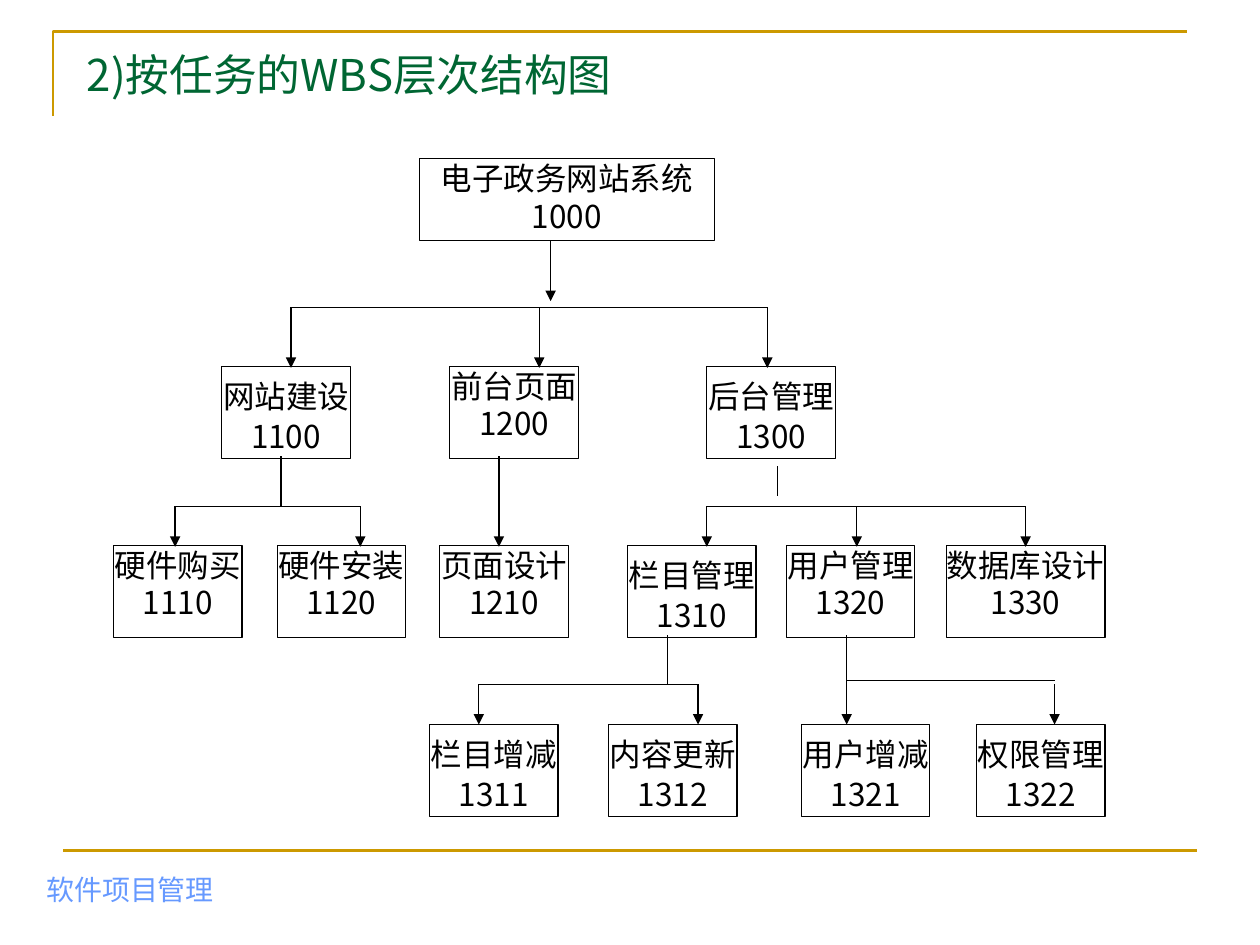
"""Build the slide showing a task-based WBS hierarchy."""
from lxml.etree import SubElement
from pptx import Presentation
from pptx.dml.color import RGBColor
from pptx.enum.shapes import MSO_CONNECTOR as CONN, MSO_SHAPE as SHAPE
from pptx.enum.text import MSO_ANCHOR as ANCHOR, MSO_AUTO_SIZE as AUTO, PP_ALIGN as ALIGN
from pptx.oxml.ns import qn
from pptx.util import Inches, Pt

FONT = "Noto Sans CJK SC"
BLACK, WHITE, GOLD, GREEN, BLUE = "000000", "FFFFFF", "CC9900", "006633", "6699FF"
TITLE = "2)按任务的WBS层次结构图"
FOOTER = "软件项目管理"

BOX_W, BOX_H = 1.02, 0.73
ROOT = ("电子政务网站系统", "1000", 3.33, 1.26, 2.34, 0.65)
TALL = {"1100", "1300", "1310", "1311", "1312", "1321", "1322"}
LEVELS = [
    (2.91, [("网站建设", "1100", 1.76), ("前台页面", "1200", 3.57),
            ("后台管理", "1300", 5.61)]),
    (4.33, [("硬件购买", "1110", 0.9), ("硬件安装", "1120", 2.2),
            ("页面设计", "1210", 3.49), ("栏目管理", "1310", 4.98),
            ("用户管理", "1320", 6.24), ("数据库设计", "1330", 7.51)]),
    (5.75, [("栏目增减", "1311", 3.41), ("内容更新", "1312", 4.83),
            ("用户增减", "1321", 6.36), ("权限管理", "1322", 7.75)]),
]
WIDE = {"1330": 1.26}

BUSES = [(2.31, 6.09, 2.44), (1.39, 2.86, 4.02), (5.61, 8.14, 4.02),
         (3.8, 5.54, 5.43), (6.72, 8.37, 5.4)]
STEMS = [(2.23, 3.62, 4.02), (6.17, 3.7, 3.94), (5.3, 5.04, 5.43)]
ARROWS = [(4.37, 1.91, 2.39), (3.96, 3.62, 4.34), (6.72, 5.04, 5.75)]
DROPS = [(2.44, 2.92, (2.31, 4.28, 6.09)),
         (4.02, 4.34, (1.39, 2.86, 5.61, 6.8, 8.14)),
         (5.43, 5.75, (3.8, 5.54, 8.37))]


def rgb(color):
    return RGBColor.from_string(color)


def style_run(r, size, color, font=FONT):
    r.font.size, r.font.name = Pt(size), font
    r.font.color.rgb = rgb(color)
    SubElement(r.font._element, qn("a:ea")).set("typeface", FONT)


def add_line(shapes, x1, y1, x2, y2, color=BLACK, width=0.75, arrow=False):
    line = shapes.add_connector(CONN.STRAIGHT, *map(Inches, (x1, y1, x2, y2)))
    line.line.color.rgb = rgb(color)
    line.line.width = Pt(width)
    if arrow:
        SubElement(line.line._get_or_add_ln(), qn("a:tailEnd")).set("type", "triangle")
    SubElement(line._element.spPr, qn("a:effectLst"))


def add_box(shapes, name, code, x, y, w=BOX_W, h=BOX_H):
    sp = shapes.add_shape(SHAPE.RECTANGLE, *map(Inches, (x, y, w, h)))
    sp.shadow.inherit = False
    sp.fill.solid()
    sp.fill.fore_color.rgb = rgb(WHITE)
    sp.line.color.rgb = rgb(BLACK)
    sp.line.width = Pt(0.75)
    tf = sp.text_frame
    tf.margin_left = tf.margin_right = tf.margin_top = tf.margin_bottom = 0
    tf.vertical_anchor = ANCHOR.TOP
    tf.word_wrap = True
    tf.text = f"{name}\n{code}"
    for p in tf.paragraphs:
        p.alignment = ALIGN.CENTER
        style_run(p.runs[0], 18, BLACK)
    if code in TALL:
        r = tf.paragraphs[0].add_run()
        r.text = " "
        style_run(r, 24, BLACK)


def add_frame(shapes):
    corner = [(Inches(x), Inches(y)) for x, y in ((0.42, 0.92), (0.42, 0.25), (9.42, 0.25))]
    builder = shapes.build_freeform(*corner[0], scale=1.0)
    builder.add_line_segments(corner[1:], close=False)
    sp = builder.convert_to_shape()
    sp.shadow.inherit = False
    sp.fill.background()
    sp.line.color.rgb = rgb(GOLD)
    sp.line.width = Pt(1.5)
    add_line(shapes, 0.5, 6.75, 9.5, 6.75, GOLD, 1.5)


def add_texts(shapes):
    title = shapes.title
    footer = shapes.add_textbox(*map(Inches, (0.27, 6.74, 3.94, 0.5)))
    title.left, title.top, title.width, title.height = map(Inches, (0.59, 0.39, 8.66, 0.4))
    for sp, text, anchor, size, color, font in (
            (title, TITLE, ANCHOR.MIDDLE, 25, GREEN, FONT),
            (footer, FOOTER, ANCHOR.BOTTOM, 16, BLUE, "Times New Roman")):
        tf = sp.text_frame
        tf.text = text
        tf.word_wrap = True
        tf.auto_size = AUTO.NONE
        tf.vertical_anchor = anchor
        p = tf.paragraphs[0]
        p.alignment = ALIGN.LEFT
        style_run(p.runs[0], size, color, font)


def main():
    prs = Presentation()
    prs.slide_width, prs.slide_height = Inches(10), Inches(7.5)
    shapes = prs.slides.add_slide(prs.slide_layouts[5]).shapes
    add_frame(shapes)
    add_texts(shapes)
    add_box(shapes, *ROOT)
    for y, boxes in LEVELS:
        for name, code, x in boxes:
            add_box(shapes, name, code, x, y, WIDE.get(code, BOX_W))
    for x1, x2, y in BUSES:
        add_line(shapes, x1, y, x2, y)
    for x, y1, y2 in STEMS:
        add_line(shapes, x, y1, x, y2)
    drops = [(x, y1, y2) for y1, y2, xs in DROPS for x in xs]
    for x, y1, y2 in ARROWS + drops:
        add_line(shapes, x, y1, x, y2, arrow=True)
    prs.save("out.pptx")


if __name__ == "__main__":
    main()
